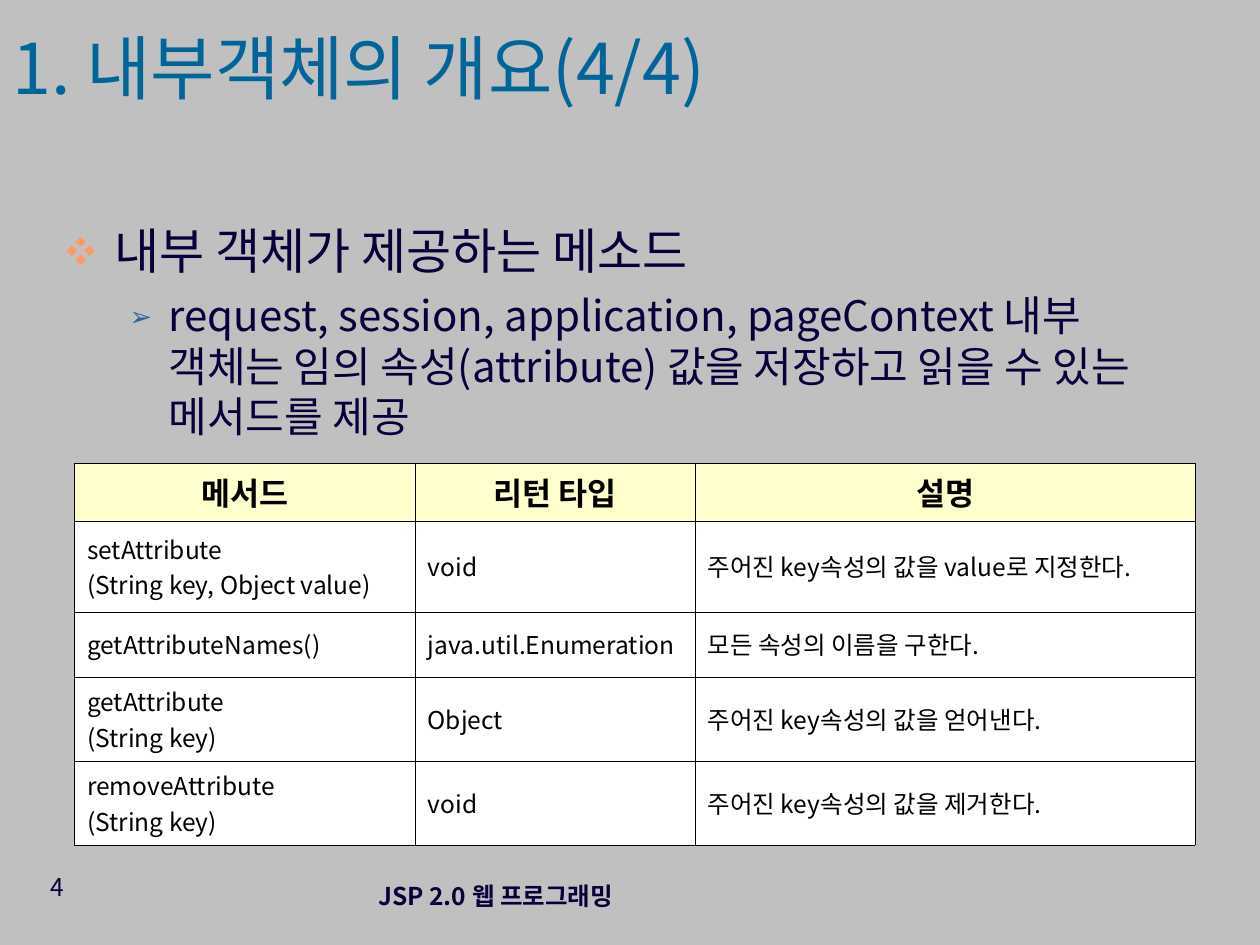
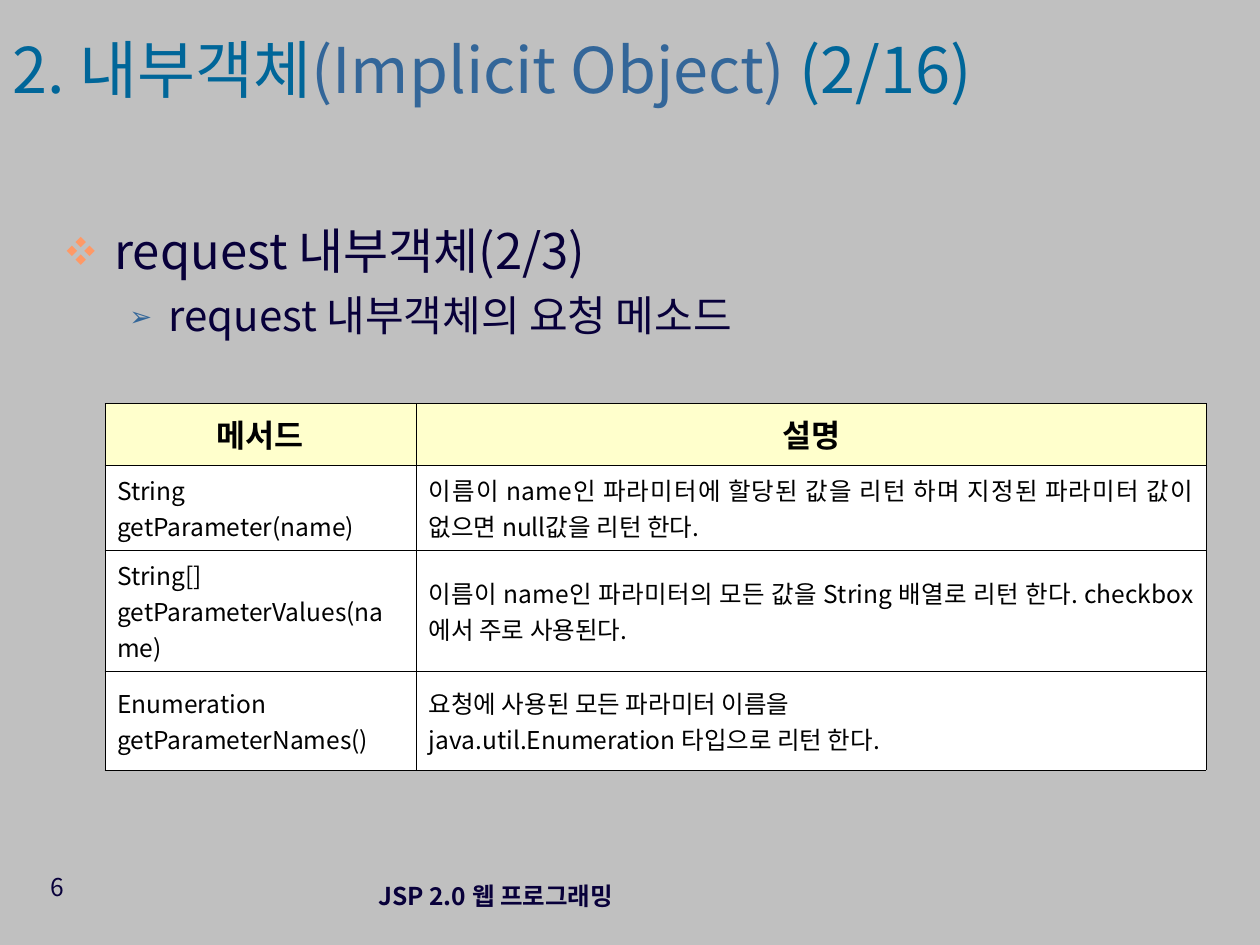
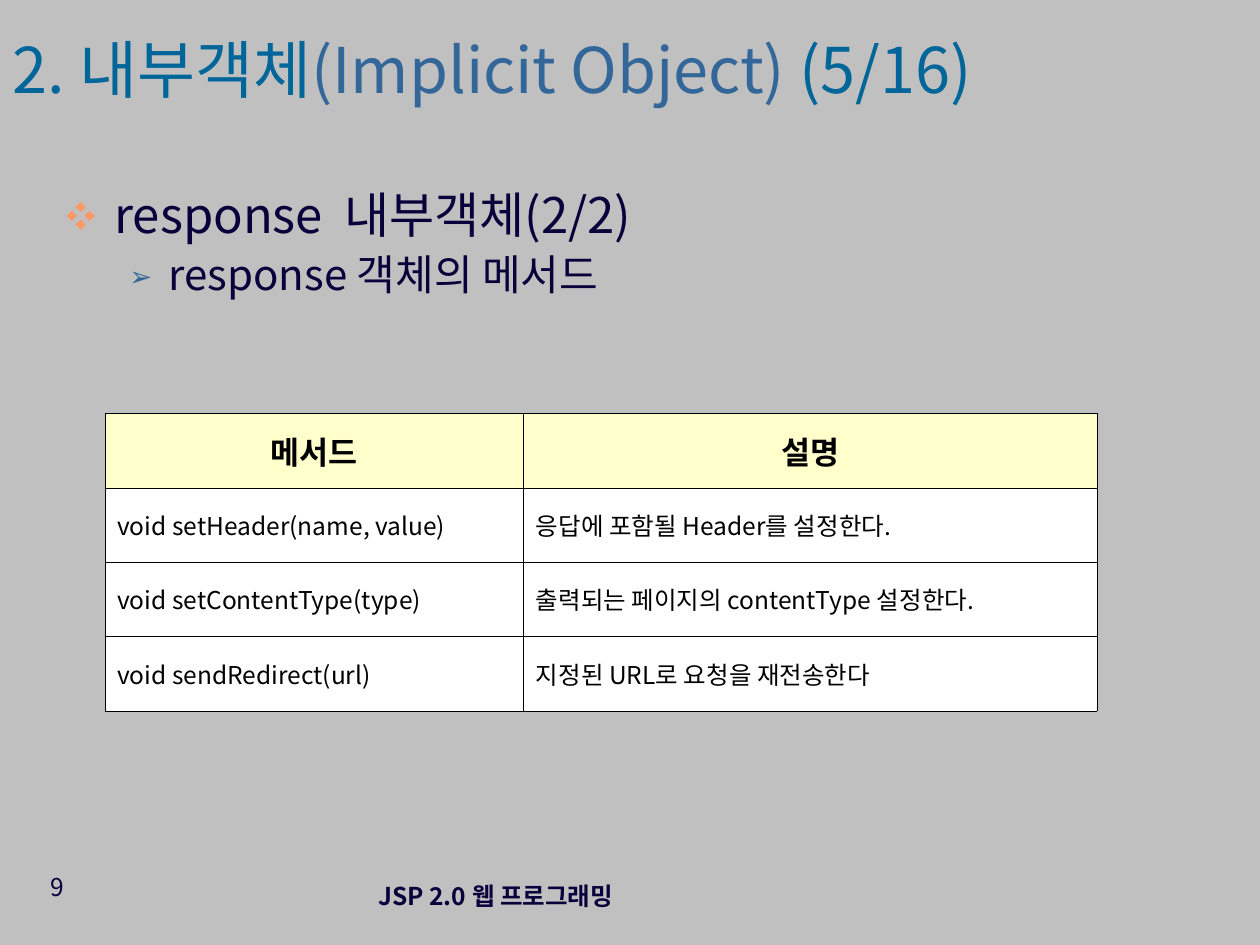
from dataclasses import dataclass

from lxml.etree import SubElement
from pptx import Presentation
from pptx.dml.color import RGBColor
from pptx.enum.text import MSO_ANCHOR as Anchor, MSO_AUTO_SIZE as AutoSize, PP_ALIGN as Align
from pptx.oxml.ns import qn
from pptx.util import Cm, Pt


@dataclass(frozen=True)
class Theme:
    """Colours and type sizes shared by every slide."""

    font: str = "Noto Sans CJK KR"
    background: str = "C0C0C0"
    title: str = "006699"
    accent: str = "336699"
    ink: str = "08003A"
    diamond: str = "FF9966"
    black: str = "000000"
    header_fill: str = "FFFFCC"
    cell_fill: str = "FFFFFF"
    long_title_size: int = 36
    title_size: int = 40
    topic_size: int = 28
    detail_size: int = 24
    header_size: int = 18
    small_size: int = 14
    border_width: float = 0.06


@dataclass(frozen=True)
class BulletLevel:
    """Marker, indents and type of one outline level."""

    marker: str
    color: str
    scale: int
    margin: float
    hanging: float
    space_before: int
    size: int


THEME = Theme()
LEVELS = (
    BulletLevel("❖", THEME.diamond, 60, 0.97, 0.97, 7, THEME.topic_size),
    BulletLevel("➢", THEME.accent, 65, 2.06, 0.79, 6, THEME.detail_size),
)
TITLE_BOX = (0, 0.71, 21.69, 1.7)
FOOTER_BOX = (5.97, 17.42, 8.05, 1.27)
NUMBER_BOX = (0.36, 17.45, 1.19, 1.32)
FOOTER = "JSP 2.0 웹 프로그래밍"


def style_run(run, size, color, bold=False):
    """Apply the deck font with a size and a colour."""
    run.font.name = THEME.font
    run.font.size = Pt(size)
    run.font.bold = bold
    run.font.color.rgb = RGBColor.from_string(color)
    SubElement(run.font._element, qn("a:ea"), typeface=THEME.font)


def style_frame(frame, size, color, align, bold=False):
    """Align and style every paragraph of a text frame."""
    for paragraph in frame.paragraphs:
        paragraph.alignment = align
        for run in paragraph.runs:
            style_run(run, size, color, bold)


def add_title(slide, box, parts, size):
    """Place the title and write its coloured parts."""
    title = slide.shapes.title
    title.left, title.top, title.width, title.height = map(Cm, box)
    frame = title.text_frame
    frame.auto_size = AutoSize.NONE
    frame.vertical_anchor = Anchor.MIDDLE
    paragraph = frame.paragraphs[0]
    paragraph.alignment = Align.LEFT
    paragraph.line_spacing = 0.7
    for text, color in parts:
        run = paragraph.add_run()
        run.text = text
        style_run(run, size, color)


def add_bullet(paragraph, level):
    """Give a paragraph the marker and indents of its level."""
    properties = paragraph._p.get_or_add_pPr()
    properties.set("marL", str(Cm(level.margin)))
    properties.set("indent", str(-Cm(level.hanging)))
    color = SubElement(properties, qn("a:buClr"))
    SubElement(color, qn("a:srgbClr"), val=level.color)
    SubElement(properties, qn("a:buSzPct"), val=str(level.scale * 1000))
    SubElement(properties, qn("a:buFont"), typeface=THEME.font)
    SubElement(properties, qn("a:buChar"), char=level.marker)


def add_outline(slide, box, lines, line_spacing):
    """Write a topic and its detail as a two-level outline."""
    frame = slide.shapes.add_textbox(*map(Cm, box)).text_frame
    frame.word_wrap = True
    frame.text = "\n".join(lines)
    for depth, (paragraph, level) in enumerate(zip(frame.paragraphs, LEVELS)):
        paragraph.level = depth
        paragraph.space_before = Pt(level.space_before)
        paragraph.line_spacing = line_spacing
        add_bullet(paragraph, level)
        style_run(paragraph.runs[0], level.size, THEME.ink)


def add_borders(cell):
    """Draw hairlines on the four sides of a cell."""
    properties = cell._tc.get_or_add_tcPr()
    for position, side in enumerate(("a:lnL", "a:lnR", "a:lnT", "a:lnB")):
        line = properties.makeelement(qn(side), {"w": str(Pt(THEME.border_width))})
        fill = SubElement(line, qn("a:solidFill"))
        SubElement(fill, qn("a:srgbClr"), val=THEME.black)
        properties.insert(position, line)


def add_method_table(slide, origin, widths, heights, rows):
    """Build a method table with a bold header row."""
    box = (*origin, sum(widths), sum(heights))
    table = slide.shapes.add_table(len(rows), len(widths), *map(Cm, box)).table
    table.horz_banding = False
    for column, width in zip(table.columns, widths):
        column.width = Cm(width)
    for row, height, texts in zip(table.rows, heights, rows):
        row.height = Cm(height)
        header = texts is rows[0]
        for cell, text in zip(row.cells, texts):
            cell.text_frame.text = text
            cell.vertical_anchor = Anchor.MIDDLE
            cell.fill.solid()
            cell.fill.fore_color.rgb = RGBColor.from_string(
                THEME.header_fill if header else THEME.cell_fill)
            add_borders(cell)
            style_frame(cell.text_frame,
                        THEME.header_size if header else THEME.small_size, THEME.black,
                        Align.CENTER if header else Align.JUSTIFY, header)


def add_label(slide, box, text, align, anchor, bold=False):
    """Add one small line of footer text."""
    frame = slide.shapes.add_textbox(*map(Cm, box)).text_frame
    frame.word_wrap = True
    frame.vertical_anchor = anchor
    frame.text = text
    style_frame(frame, THEME.small_size, THEME.ink, align, bold)


def add_method_slide(deck, number, title, title_size, outline_box, outline, table,
                     line_spacing=1.0):
    """Add a slide with title, outline, method table and footer."""
    slide = deck.slides.add_slide(deck.slide_layouts.get_by_name("Title Only"))
    add_title(slide, TITLE_BOX, title, title_size)
    add_outline(slide, outline_box, outline, line_spacing)
    add_method_table(slide, **table)
    add_label(slide, FOOTER_BOX, FOOTER, Align.CENTER, Anchor.MIDDLE, True)
    add_label(slide, NUMBER_BOX, str(number), Align.RIGHT, Anchor.TOP)


def implicit_title(page):
    """Return the coloured parts of the implicit object title."""
    return [("2. 내부객체", THEME.title), ("(Implicit Object) ", THEME.accent),
            (f"({page}/16)", THEME.title)]


def main():
    """Build the deck and save it."""
    deck = Presentation()
    deck.slide_width, deck.slide_height = Cm(25.4), Cm(19.05)
    background = deck.slide_master.background.fill
    background.solid()
    background.fore_color.rgb = RGBColor.from_string(THEME.background)

    add_method_slide(
        deck, 4, [("1. 내부객체의 개요(4/4)", THEME.title)], THEME.title_size,
        (1.09, 4.32, 23.39, 5),
        ["내부 객체가 제공하는 메소드",
         "request, session, application, pageContext 내부 객체는 임의 속성(attribute) 값을 "
         "저장하고 읽을 수 있는 메서드를 제공"],
        dict(origin=(1.5, 9.33), widths=(6.87, 5.64, 10.08),
             heights=(1.17, 1.83, 1.31, 1.7, 1.7), rows=[
            ("메서드", "리턴 타입", "설명"),
            ("setAttribute\n(String key, Object value)", "void",
             "주어진 key속성의 값을 value로 지정한다."),
            ("getAttributeNames()", "java.util.Enumeration", "모든 속성의 이름을 구한다."),
            ("getAttribute\n(String key)", "Object", "주어진 key속성의 값을 얻어낸다."),
            ("removeAttribute\n(String key)", "void", "주어진 key속성의 값을 제거한다."),
        ]))

    add_method_slide(
        deck, 6, implicit_title(2), THEME.long_title_size, (1.09, 4.32, 23.39, 3.4),
        ["request 내부객체(2/3)", "request 내부객체의 요청 메소드"],
        dict(origin=(2.11, 8.13), widths=(6.28, 15.92),
             heights=(1.24, 1.72, 2.44, 2), rows=[
            ("메서드", "설명"),
            ("String getParameter(name)",
             "이름이 name인 파라미터에 할당된 값을 리턴 하며 지정된 파라미터 값이 없으면 "
             "null값을 리턴 한다."),
            ("String[] getParameterValues(name)",
             "이름이 name인 파라미터의 모든 값을 String 배열로 리턴 한다. "
             "checkbox에서 주로 사용된다."),
            ("Enumeration getParameterNames()",
             "요청에 사용된 모든 파라미터 이름을\njava.util.Enumeration 타입으로 리턴 한다."),
        ]))

    add_method_slide(
        deck, 9, implicit_title(5), THEME.long_title_size, (1.09, 3.73, 23.39, 2.6),
        ["response  내부객체(2/2)", "response 객체의 메서드"],
        dict(origin=(2.11, 8.33), widths=(8.44, 11.56), heights=(1.5,) * 4, rows=[
            ("메서드", "설명"),
            ("void setHeader(name, value)", "응답에 포함될 Header를 설정한다."),
            ("void setContentType(type)", "출력되는 페이지의 contentType 설정한다."),
            ("void sendRedirect(url)", "지정된 URL로 요청을 재전송한다"),
        ]), line_spacing=0.9)

    deck.save("out.pptx")


if __name__ == "__main__":
    main()
